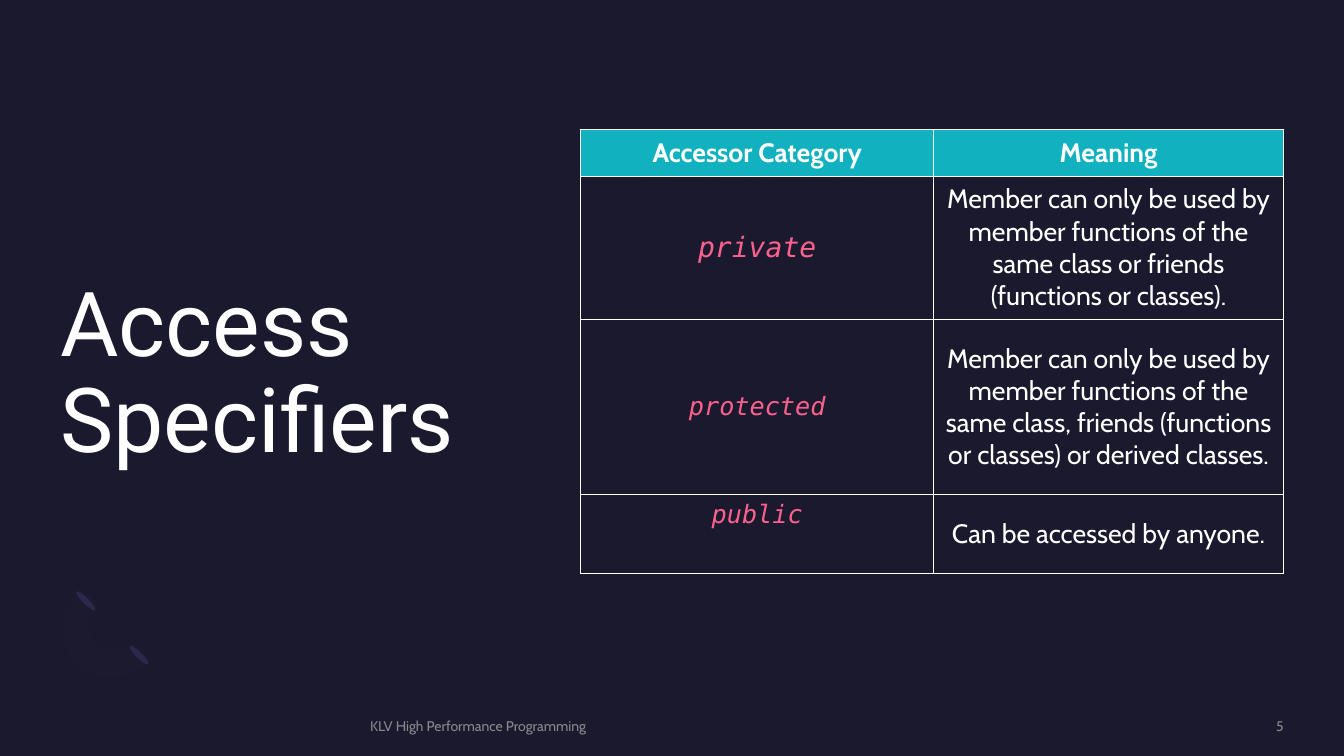
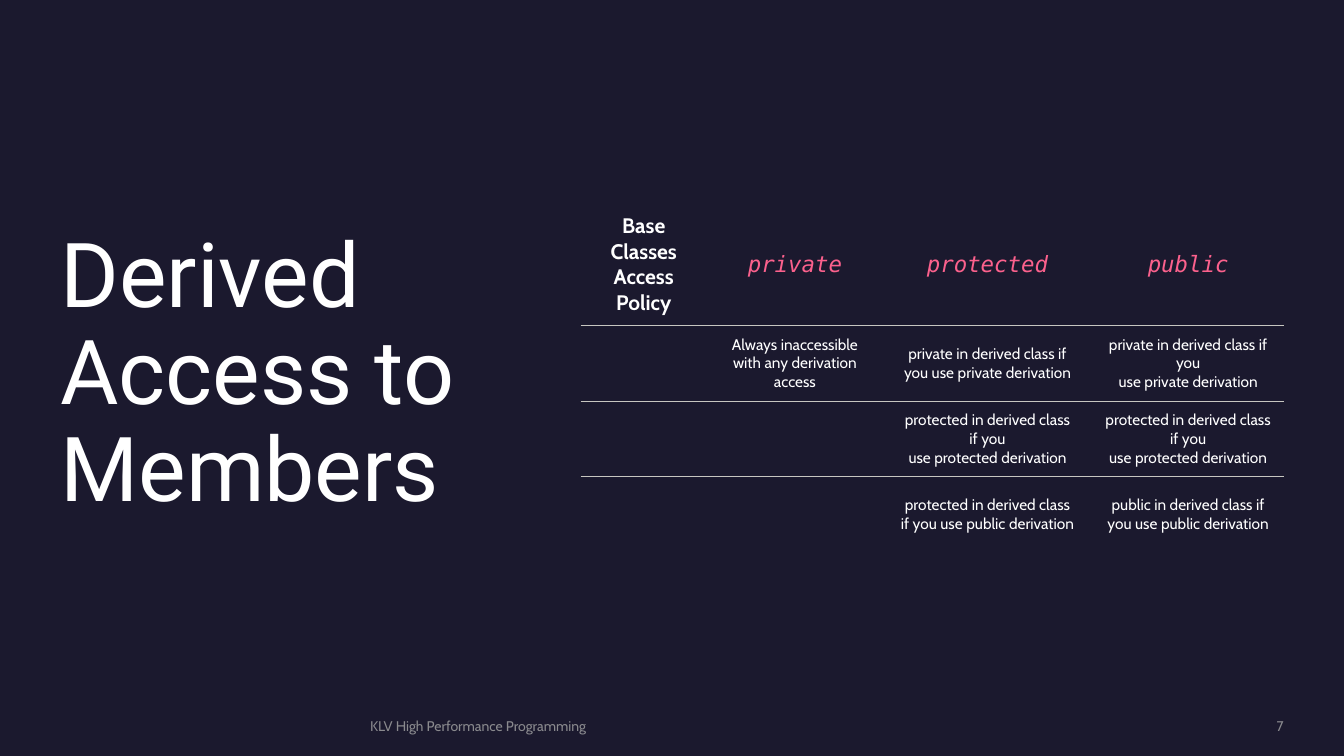
from lxml.etree import SubElement
from pptx import Presentation
from pptx.dml.color import RGBColor
from pptx.enum.shapes import MSO_SHAPE
from pptx.enum.text import MSO_ANCHOR, MSO_AUTO_SIZE, PP_ALIGN
from pptx.oxml.ns import qn
from pptx.util import Inches, Pt

NIGHT = RGBColor(0x1B, 0x19, 0x2E)
PLUM = RGBColor(0x2C, 0x28, 0x4A)
LILAC = RGBColor(0x77, 0x71, 0xB2)
WHITE = RGBColor(0xFF, 0xFF, 0xFF)
GREY = RGBColor(0x8A, 0x8A, 0x8E)
TEAL = RGBColor(0x12, 0xB1, 0xBF)
PINK = RGBColor(0xFC, 0x61, 0x8D)
SAND = RGBColor(0xC7, 0xC6, 0xC1)

BODY, MONO, HEAD = "Cabin", "DejaVu Sans Mono", "Roboto"
NBSP = chr(160)


def fade(node, share):
    """Set the opacity, in percent, of the first plain colour in node."""
    color = next(node.iter(qn("a:srgbClr")))
    SubElement(color, qn("a:alpha"), val=str(share * 1000))


def write(frame, text, size=19, font=BODY, color=WHITE, bold=False,
          italic=False, align=PP_ALIGN.LEFT, space=None, after=0):
    frame.word_wrap = True
    para = frame.paragraphs[0]
    para.alignment = align
    para.space_after = Pt(after)
    if space:
        para.line_spacing = space
    run = para.add_run()
    run.text = text
    face = run.font
    face.name, face.size = font, Pt(size)
    face.bold, face.italic = bold, italic
    face.color.rgb = color


def inset(box, pads=(0, 0, 0, 0), anchor=MSO_ANCHOR.MIDDLE):
    """Set left, top, right and bottom margins of a cell or text frame."""
    (box.margin_left, box.margin_top,
     box.margin_right, box.margin_bottom) = map(Inches, pads)
    box.vertical_anchor = anchor


def edge(cell, color, sides):
    """Draw the named sides (of L, R, T, B) and clear the others."""
    props = cell._tc.get_or_add_tcPr()
    for side in "LRTB":
        line = SubElement(props, qn(f"a:ln{side}"), w=str(Pt(0.75)))
        if side in sides:
            fill = SubElement(line, qn("a:solidFill"))
            SubElement(fill, qn("a:srgbClr"), val=str(color))
        else:
            SubElement(line, qn("a:noFill"))


def curve(a, b, c, d, steps=12):
    """Points of a cubic curve after its start a."""
    for i in range(1, steps + 1):
        t = i / steps
        u = 1 - t
        yield tuple(u**3 * p + 3 * u * u * t * q + 3 * u * t * t * r + t**3 * s
                    for p, q, r, s in zip(a, b, c, d))


class Deck:
    def __init__(self):
        self.prs = Presentation()
        self.prs.slide_width = Inches(13.33)
        self.prs.slide_height = Inches(7.5)
        back = self.prs.slide_master.background.fill
        back.solid()
        back.fore_color.rgb = NIGHT

    def page(self, title, number, width):
        self.slide = self.prs.slides.add_slide(self.prs.slide_layouts[5])
        self.shapes = self.slide.shapes
        head = self.shapes.title
        head.left, head.top = Inches(0.6), Inches(1.66)
        head.width, head.height = Inches(width), Inches(4.13)
        head.text_frame.auto_size = MSO_AUTO_SIZE.NONE
        inset(head.text_frame)
        write(head.text_frame, title, size=64, font=HEAD, space=0.9)
        self.foot("KLV High Performance Programming", 3.67, 6.98)
        self.foot(str(number), 10.88, 1.85, PP_ALIGN.RIGHT)

    def foot(self, text, left, width, align=PP_ALIGN.LEFT):
        box = self.shapes.add_textbox(
            Inches(left), Inches(7.12), Inches(width), Inches(0.17))
        inset(box.text_frame)
        write(box.text_frame, text, size=10, color=GREY, align=align, after=6)

    def paint(self, shape, color):
        shape.shadow.inherit = False
        shape.fill.solid()
        shape.fill.fore_color.rgb = color
        shape.line.fill.background()

    def ring(self):
        """Faint half ring with an ellipse at each end."""
        for left, top in ((1.35, 6.37), (0.82, 5.83)):
            tip = self.shapes.add_shape(
                MSO_SHAPE.OVAL, Inches(left), Inches(top),
                Inches(0.06), Inches(0.26))
            tip.rotation = 135
            self.paint(tip, PLUM)
        start = (0.76, 6.59)
        points = [
            *curve(start, (0.56, 6.39), (0.58, 6.05), (0.81, 5.82)),
            (0.99, 6),
            *curve((0.99, 6), (0.87, 6.11), (0.86, 6.29), (0.96, 6.38)),
            *curve((0.96, 6.38), (1.06, 6.48), (1.23, 6.47), (1.35, 6.36)),
            (1.52, 6.54),
            *curve((1.52, 6.54), (1.3, 6.76), (0.95, 6.79), start),
        ]
        pen = self.shapes.build_freeform(*map(Inches, start))
        pen.add_line_segments([(Inches(x), Inches(y)) for x, y in points])
        arc = pen.convert_to_shape()
        self.paint(arc, LILAC)
        fade(arc._element.spPr, 1)

    def table(self, top, cols, rows):
        frame = self.shapes.add_table(
            len(rows), len(cols), Inches(5.76), Inches(top),
            Inches(sum(cols)), Inches(sum(rows)))
        grid = frame.table
        grid.first_row = grid.horz_banding = False
        for col, width in zip(grid.columns, cols):
            col.width = Inches(width)
        for row, height in zip(grid.rows, rows):
            row.height = Inches(height)
        return grid

    def cell(self, grid, row, col, text, pads, line, sides="LRTB",
             fill=None, anchor=MSO_ANCHOR.MIDDLE, **style):
        cell = grid.cell(row, col)
        inset(cell, pads, anchor)
        edge(cell, line, sides)
        if fill:
            cell.fill.solid()
            cell.fill.fore_color.rgb = fill
        else:
            cell.fill.background()
        if text:
            write(cell.text_frame, text, align=PP_ALIGN.CENTER, **style)


def code(size):
    return dict(size=size, font=MONO, color=PINK, italic=True)


def rule(kind, via):
    return (f"{kind}{NBSP}in derived class if you "
            f"use{NBSP}{via}{NBSP}derivation")


def access(deck):
    deck.page("Access Specifiers", 5, 4.96)
    deck.ring()
    grid = deck.table(1.28, (3.5, 3.47), (0.47, 1.42, 1.74, 0.78))
    look = dict(pads=(0.11, 0.05, 0.11, 0.05), line=WHITE)
    for col, text in enumerate(("Accessor Category", "Meaning")):
        deck.cell(grid, 0, col, text, fill=TEAL, bold=True, **look)
    body = (
        ("private", 20, MSO_ANCHOR.MIDDLE,
         "Member can only be used by member functions of the same class "
         "or friends (functions or classes)."),
        ("protected", 18, MSO_ANCHOR.MIDDLE,
         "Member can only be used by member functions of the same class, "
         "friends (functions or classes) or derived classes."),
        ("public", 18, MSO_ANCHOR.TOP, "Can be accessed by anyone."),
    )
    for row, (name, size, anchor, text) in enumerate(body, 1):
        deck.cell(grid, row, 0, name, anchor=anchor, **look, **code(size))
        deck.cell(grid, row, 1, text, **look)


def derived(deck):
    deck.page("Derived Access to Members", 7, 4.56)
    body = (
        ("Base Classes Access Policy", "private", "protected", "public"),
        ("", "Always inaccessible with any derivation access",
         rule("private", "private"), rule("private", "private")),
        ("", "", rule("protected", "protected"),
         rule("protected", "protected")),
        ("", "", rule("protected", "public"), rule("public", "public")),
    )
    grid = deck.table(2.02, (1.21, 1.79, 2.03, 1.95),
                      (1.21, 0.75, 0.75, 0.75))
    last = len(body) - 1
    for row, texts in enumerate(body):
        sides = ("T" if row > 0 else "") + ("B" if row < last else "")
        for col, text in enumerate(texts):
            if row:
                style = dict(size=11)
            elif col:
                style = code(16)
            else:
                style = dict(size=15, bold=True)
            deck.cell(grid, row, col, text, (0.17, 0.08, 0.13, 0.08),
                      SAND, sides, **style)


def main():
    deck = Deck()
    access(deck)
    derived(deck)
    deck.prs.save("out.pptx")


if __name__ == "__main__":
    main()
